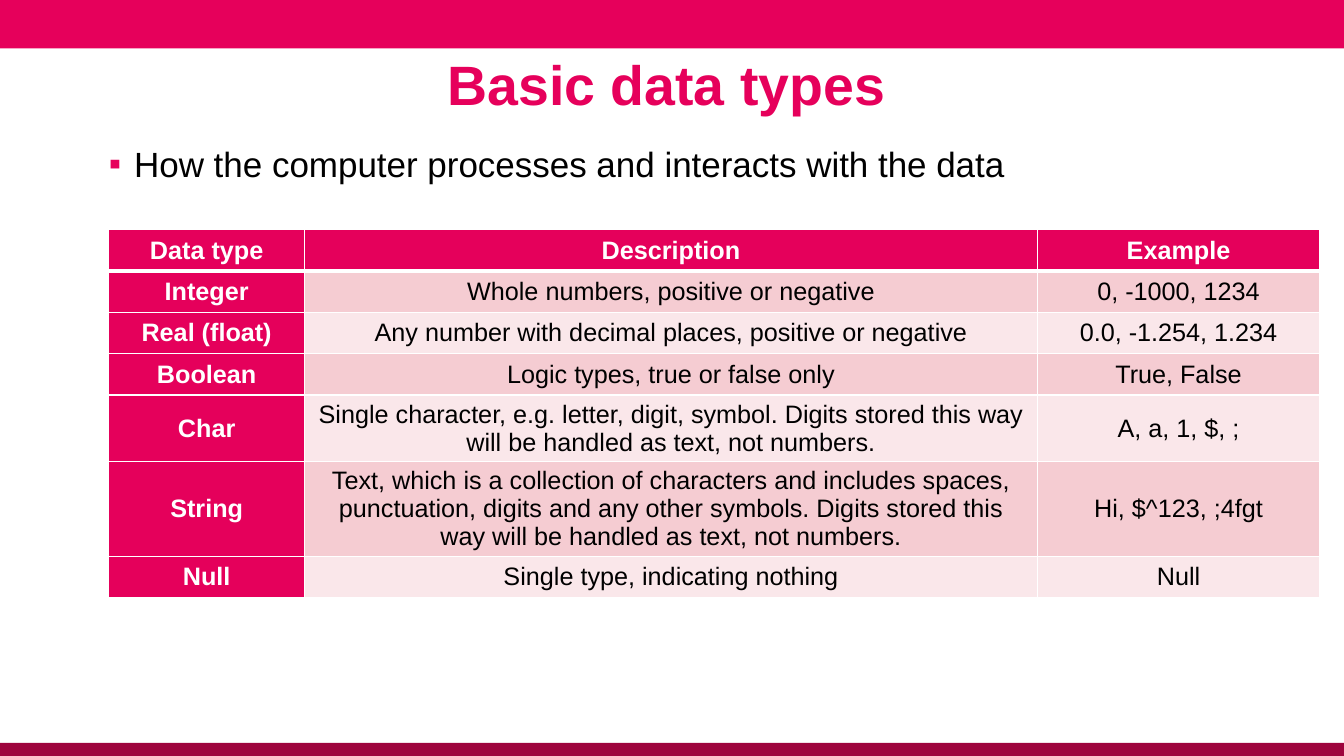
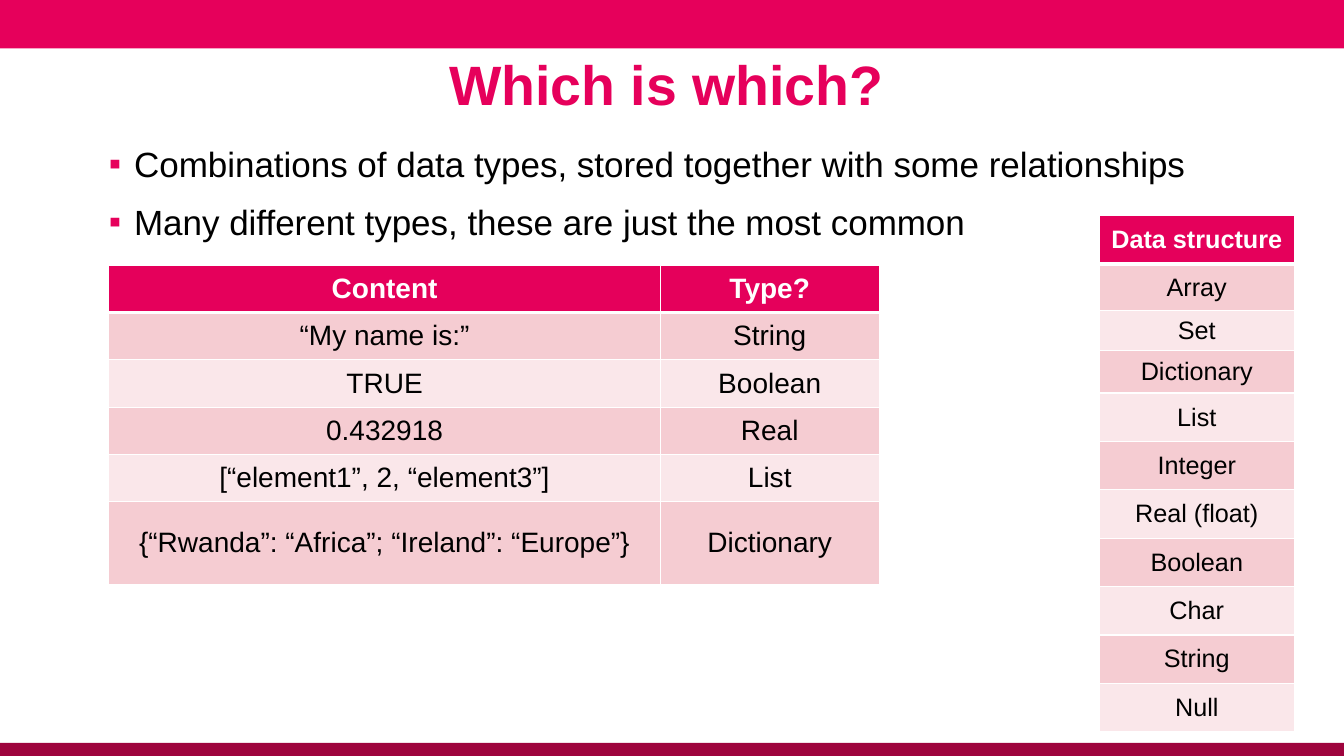
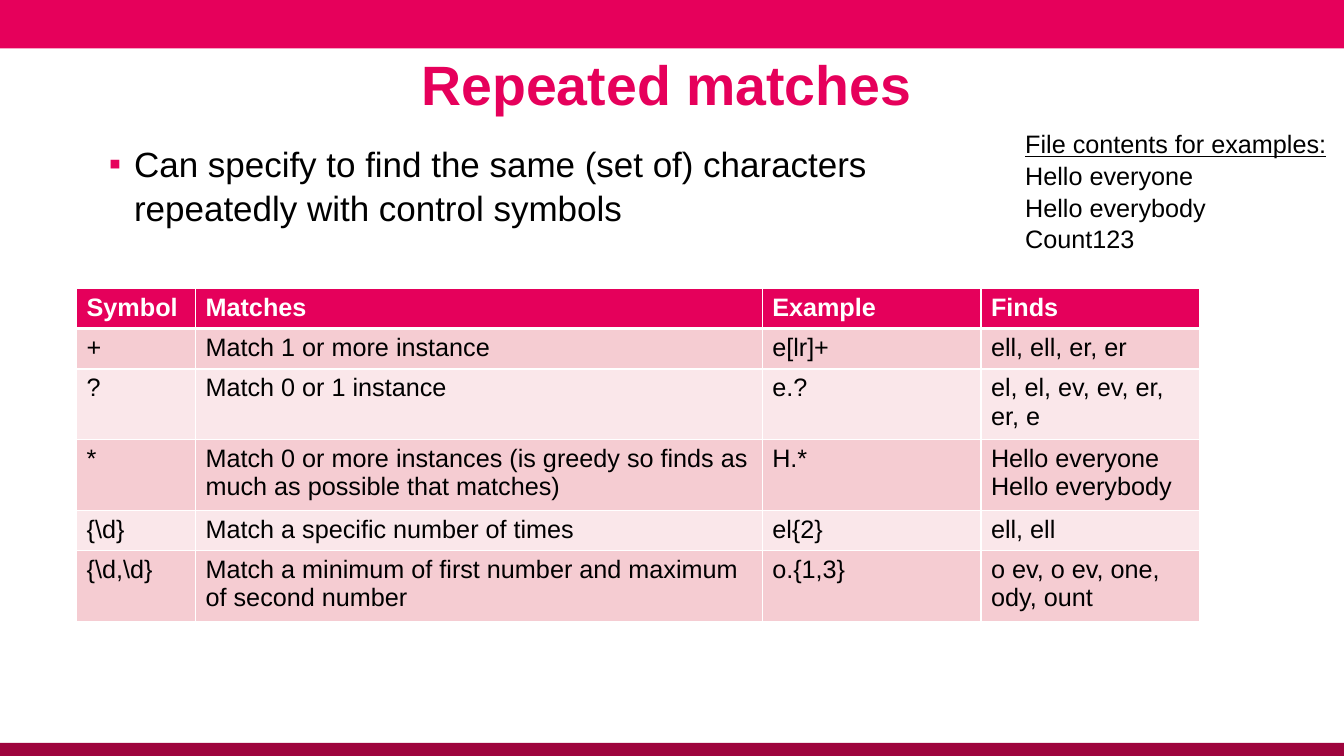
from lxml import etree
from pptx import Presentation
from pptx.dml.color import RGBColor
from pptx.enum import shapes, text
from pptx.oxml import ns
from pptx.util import Inches, Pt

COLORS = {
    "band": "E6005B",
    "footer": "9E043D",
    "header": "E5005B",
    "odd_row": "F5CCD2",
    "even_row": "FAE7EA",
    "white": "FFFFFF",
    "black": "000000",
}
FONT = "Arial"
BODY_LEFT, BODY_TOP, BODY_HEIGHT = 1.08, 1.34, 5.62
LINE_SPACING = 1.05


def rgb(name):
    """Return a named colour."""
    return RGBColor.from_string(COLORS[name])


def add_run(paragraph, content, size, color="black", bold=False, underline=False):
    """Add one formatted run to a paragraph."""
    run = paragraph.add_run()
    run.text = content
    run.font.name = FONT
    run.font.size = Pt(size)
    run.font.bold = bold
    run.font.underline = underline
    run.font.color.rgb = rgb(color)


def paragraphs_for(frame, lines):
    """Yield a paragraph of the frame with each line of text."""
    for index, line in enumerate(lines):
        yield frame.add_paragraph() if index else frame.paragraphs[0], line


def place(shape, left, top, width, height):
    """Set position and size in inches."""
    shape.left, shape.top = Inches(left), Inches(top)
    shape.width, shape.height = Inches(width), Inches(height)


def set_insets(frame):
    """Apply the insets shared by titles and lists."""
    frame.margin_left, frame.margin_right = 0, Inches(0.1)
    frame.margin_top = frame.margin_bottom = Inches(0.05)
    frame.word_wrap = True
    frame.auto_size = text.MSO_AUTO_SIZE.NONE


def add_master_bands(presentation, slide):
    """Draw the top and bottom bands and move them to the slide master."""
    for top, height, color in ((0, 0.48, "band"), (7.37, 0.13, "footer")):
        band = slide.shapes.add_shape(
            shapes.MSO_SHAPE.RECTANGLE, 0, Inches(top), presentation.slide_width, Inches(height))
        band.shadow.inherit = False
        band.fill.solid()
        band.fill.fore_color.rgb = rgb(color)
        band.line.fill.background()
        presentation.slide_master.shapes.element.append(band.element)


def add_bullet(paragraph):
    """Give a paragraph a hanging square bullet."""
    properties = paragraph._p.get_or_add_pPr()
    properties.set("marL", str(Inches(0.25)))
    properties.set("indent", str(-Inches(0.25)))
    color = etree.SubElement(properties, ns.qn("a:buClr"))
    etree.SubElement(color, ns.qn("a:srgbClr"), val=COLORS["band"])
    etree.SubElement(properties, ns.qn("a:buFont"), typeface=FONT)
    etree.SubElement(properties, ns.qn("a:buChar"), char="▪")


def add_content_slide(presentation, title, bullets, body_width=11.66):
    """Add a slide with a title and a bulleted list."""
    slide = presentation.slides.add_slide(presentation.slide_layouts[1])
    heading, body = slide.shapes.title, slide.placeholders[1]
    place(heading, 0.48, 0.49, 12.36, 0.75)
    place(body, BODY_LEFT, BODY_TOP, body_width, BODY_HEIGHT)
    for shape in (heading, body):
        set_insets(shape.text_frame)

    heading.text_frame.vertical_anchor = text.MSO_ANCHOR.MIDDLE
    paragraph = heading.text_frame.paragraphs[0]
    paragraph.alignment = text.PP_ALIGN.CENTER
    paragraph.line_spacing = 0.9
    add_run(paragraph, title, 39.6, "band", bold=True)

    body.text_frame.vertical_anchor = text.MSO_ANCHOR.TOP
    for paragraph, line in paragraphs_for(body.text_frame, bullets):
        paragraph.line_spacing = LINE_SPACING
        paragraph.space_before = Pt(10)
        add_bullet(paragraph)
        add_run(paragraph, line, 25)
    return slide


def add_borders(cell, row_index):
    """Draw white cell borders, thicker below the header row."""
    thick_edge = {0: "lnB", 1: "lnT"}.get(row_index)
    properties = cell._tc.get_or_add_tcPr()
    for edge in ("lnL", "lnR", "lnT", "lnB"):
        width = Pt(3 if edge == thick_edge else 1)
        line = etree.SubElement(properties, ns.qn("a:" + edge), w=str(width))
        fill = etree.SubElement(line, ns.qn("a:solidFill"))
        etree.SubElement(fill, ns.qn("a:srgbClr"), val=COLORS["white"])


def add_data_table(slide, left, top, widths, heights, rows,
                   size=18, centered=True, header_column=False):
    """Add a banded table with a strong header row."""
    frame = slide.shapes.add_table(len(rows), len(widths), Inches(left), Inches(top),
                                   Inches(sum(widths)), Inches(sum(heights)))
    table = frame.table
    for column, width in zip(table.columns, widths):
        column.width = Inches(width)
    for row, height in zip(table.rows, heights):
        row.height = Inches(height)
    for row_index, values in enumerate(rows):
        band = "odd_row" if row_index % 2 else "even_row"
        for column_index, value in enumerate(values):
            is_header = row_index == 0 or (header_column and column_index == 0)
            cell = table.cell(row_index, column_index)
            add_borders(cell, row_index)
            cell.fill.solid()
            cell.fill.fore_color.rgb = rgb("header" if is_header else band)
            cell.vertical_anchor = text.MSO_ANCHOR.MIDDLE if centered else text.MSO_ANCHOR.TOP
            for paragraph, line in paragraphs_for(cell.text_frame, value.split("\n")):
                paragraph.alignment = text.PP_ALIGN.CENTER if centered else text.PP_ALIGN.LEFT
                add_run(paragraph, line, size, "white" if is_header else "black", is_header)


def add_file_contents(slide, lines):
    """Add a text box whose first line is an underlined heading."""
    box = slide.shapes.add_textbox(Inches(10.07), Inches(1.21), Inches(3.26), Inches(1.31))
    box.text_frame.word_wrap = True
    for index, (paragraph, line) in enumerate(paragraphs_for(box.text_frame, lines)):
        paragraph.line_spacing = LINE_SPACING
        add_run(paragraph, line, 18, underline=index == 0)


def add_basic_types(presentation):
    """Build the slide on basic data types."""
    slide = add_content_slide(presentation, "Basic data types", [
        "How the computer processes and interacts with the data"])
    add_data_table(
        slide, BODY_LEFT, 2.28, [1.94, 7.27, 2.8], [0.41] * 4 + [0.66, 0.94, 0.41], [
            ("Data type", "Description", "Example"),
            ("Integer", "Whole numbers, positive or negative", "0, -1000, 1234"),
            ("Real (float)", "Any number with decimal places, positive or negative",
             "0.0, -1.254, 1.234"),
            ("Boolean", "Logic types, true or false only", "True, False"),
            ("Char", "Single character, e.g. letter, digit, symbol. Digits stored this way "
             "will be handled as text, not numbers.", "A, a, 1, $, ;"),
            ("String", "Text, which is a collection of characters and includes spaces, "
             "punctuation, digits and any other symbols. Digits stored this way will be "
             "handled as text, not numbers.", "Hi, $^123, ;4fgt"),
            ("Null", "Single type, indicating nothing", "Null"),
        ], header_column=True)
    return slide


def add_type_quiz(presentation):
    """Build the slide that matches contents to types."""
    slide = add_content_slide(presentation, "Which is which?", [
        "Combinations of data types, stored together with some relationships",
        "Many different types, these are just the most common"])
    structures = ["Data structure", "Array", "Set", "Dictionary", "List", "Integer",
                  "Real (float)", "Boolean", "Char", "String", "Null"]
    add_data_table(slide, 10.9, 2.14, [1.94], [0.48, 0.46, 0.4, 0.42] + [0.48] * 7,
                   [(structure,) for structure in structures])
    add_data_table(slide, BODY_LEFT, 2.63, [5.47, 2.17], [0.47] * 5 + [0.82], [
        ("Content", "Type?"),
        ("“My name is:”", "String"),
        ("TRUE", "Boolean"),
        ("0.432918", "Real"),
        ("[“element1”, 2, “element3”]", "List"),
        ("{“Rwanda”: “Africa”; “Ireland”: “Europe”}", "Dictionary"),
    ], size=20)


def add_repeated_matches(presentation):
    """Build the slide on repetition symbols."""
    slide = add_content_slide(presentation, "Repeated matches", [
        "Can specify to find the same (set of) characters repeatedly with control symbols",
    ], body_width=8.99)
    add_file_contents(slide, ["File contents for examples:", "Hello everyone",
                              "Hello everybody", "Count123"])
    add_data_table(
        slide, 0.76, 2.86, [1.18, 5.62, 2.17, 2.17], [0.4, 0.4, 0.7, 0.7, 0.4, 0.7], [
            ("Symbol", "Matches", "Example", "Finds"),
            ("+", "Match 1 or more instance", "e[lr]+", "ell, ell, er, er"),
            ("?", "Match 0 or 1 instance", "e.?", "el, el, ev, ev, er, er, e"),
            ("*", "Match 0 or more instances (is greedy so finds as much as possible "
             "that matches)", "H.*", "Hello everyone\nHello everybody"),
            ("{\\d}", "Match a specific number of times", "el{2}", "ell, ell"),
            ("{\\d,\\d}", "Match a minimum of first number and maximum of second number",
             "o.{1,3}", "o ev, o ev, one, ody, ount"),
        ], centered=False)


def main():
    """Build and save the presentation."""
    presentation = Presentation()
    presentation.slide_width, presentation.slide_height = Inches(13.33), Inches(7.5)
    first_slide = add_basic_types(presentation)
    add_master_bands(presentation, first_slide)
    add_type_quiz(presentation)
    add_repeated_matches(presentation)
    presentation.save("out.pptx")


main()
